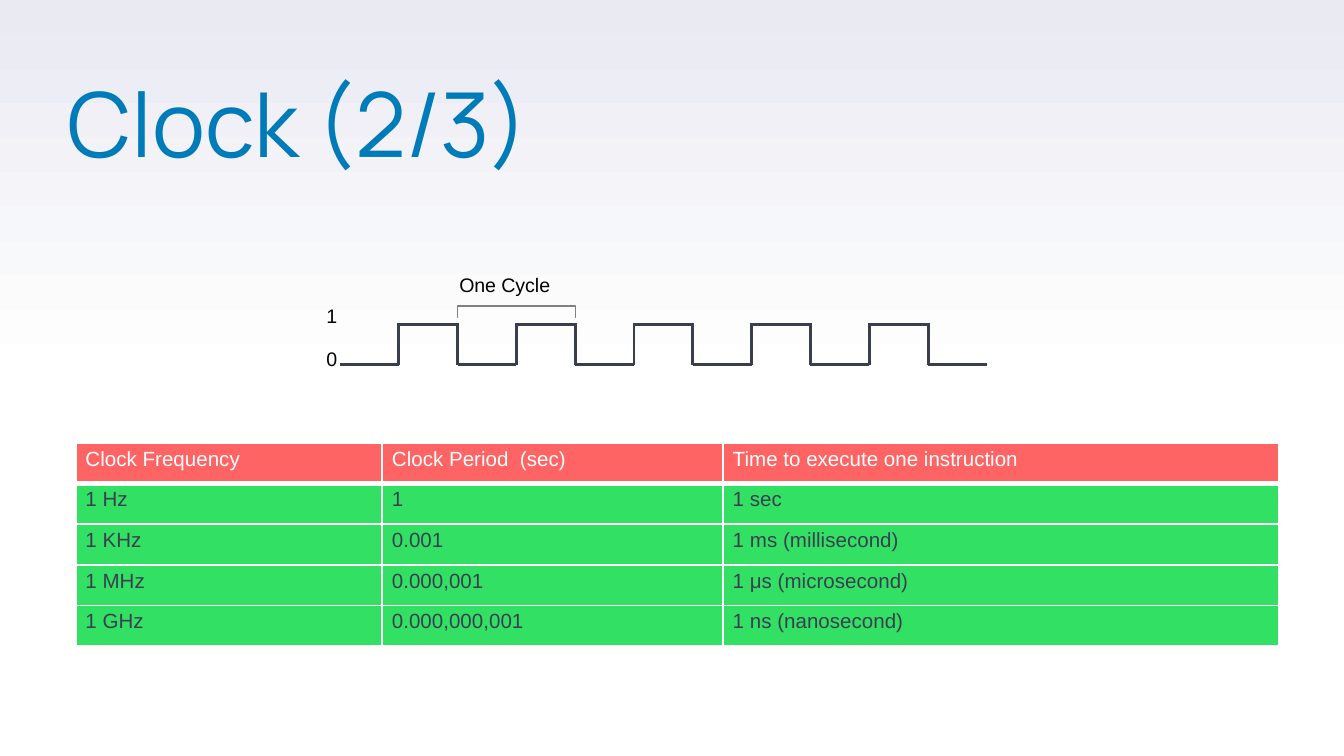
from dataclasses import dataclass

from lxml import etree
from pptx import Presentation
from pptx import util as u
from pptx.dml.color import RGBColor
from pptx.enum import shapes, text
from pptx.oxml import ns


@dataclass(frozen=True)
class Theme:
    title: str = "007BB9"
    ink: str = "3A3F50"
    label: str = "000000"
    bracket: str = "808080"
    white: str = "FFFFFF"
    haze: str = "E9EAF2"
    header: str = "FF6464"
    body: str = "32E164"
    title_font: str = "Manrope"
    text_font: str = "Arial"
    title_size: float = 48
    table_size: float = 11
    label_size: float = 10.5


class SlideBuilder:
    """Draws styled elements on one slide, with lengths in points."""

    def __init__(self, slide, theme):
        self.slide = slide
        self.theme = theme

    def background(self):
        fill = self.slide.background.fill
        fill.gradient()
        fill.gradient_angle = 90
        stops = zip(fill.gradient_stops, (0.5, 1), (self.theme.white, self.theme.haze))
        for stop, position, color in stops:
            stop.position = position
            stop.color.rgb = RGBColor.from_string(color)

    def run(self, paragraph, content, size, color, font):
        run = paragraph.add_run()
        run.text = content
        run.font.size = u.Pt(size)
        run.font.name = font
        run.font.color.rgb = RGBColor.from_string(color)

    def title(self, content, left, top, width, height):
        frame = self.slide.shapes.add_textbox(*map(u.Pt, (left, top, width, height))).text_frame
        frame.word_wrap = True
        frame.margin_left = frame.margin_right = frame.margin_top = frame.margin_bottom = 0
        paragraph = frame.paragraphs[0]
        paragraph.line_spacing = 0.8
        self.run(paragraph, content, self.theme.title_size, self.theme.title, self.theme.title_font)

    def label(self, content, left, top, width, height=20):
        frame = self.slide.shapes.add_textbox(*map(u.Pt, (left, top, width, height))).text_frame
        frame.word_wrap = False
        frame.auto_size = text.MSO_AUTO_SIZE.SHAPE_TO_FIT_TEXT
        self.run(frame.paragraphs[0], content, self.theme.label_size, self.theme.label, self.theme.text_font)

    def connector(self, kind, start, end, color, weight):
        connector = self.slide.shapes.add_connector(kind, *map(u.Pt, (*start, *end)))
        connector.line.color.rgb = RGBColor.from_string(color)
        connector.line.width = u.Pt(weight)
        etree.SubElement(connector._element.spPr, ns.qn("a:effectLst"))
        return connector

    def line(self, start, end):
        self.connector(shapes.MSO_CONNECTOR.STRAIGHT, start, end, self.theme.ink, 1.5)

    def elbow(self, start, end, bend):
        connector = self.connector(shapes.MSO_CONNECTOR.ELBOW, start, end, self.theme.bracket, 0.75)
        geometry = connector._element.spPr.find(ns.qn("a:prstGeom"))
        adjustments = geometry.find(ns.qn("a:avLst"))
        if adjustments is None:
            adjustments = etree.SubElement(geometry, ns.qn("a:avLst"))
        etree.SubElement(adjustments, ns.qn("a:gd"), name="adj1", fmla=f"val {bend}")

    def wave(self, left, high, low, step, cycles):
        overshoot = 0.5
        for index in range(2 * cycles + 1):
            x = left + index * step
            level = high if index % 2 else low
            self.line((x, level), (x + step, level))
            if index:
                self.line((x, high - overshoot), (x, low + overshoot))

    def borders(self, cell, bottom):
        properties = cell._tc.get_or_add_tcPr()
        for index, (side, weight) in enumerate(zip("LRTB", (1, 1, 1, bottom))):
            border = etree.Element(ns.qn(f"a:ln{side}"), w=str(u.Pt(weight)))
            fill = etree.SubElement(border, ns.qn("a:solidFill"))
            etree.SubElement(fill, ns.qn("a:srgbClr"), val=self.theme.white)
            properties.insert(index, border)

    def table(self, rows, left, top, widths, row_height):
        size = (sum(widths), row_height * len(rows))
        frame = self.slide.shapes.add_table(len(rows), len(widths), *map(u.Pt, (left, top, *size)))
        table = frame.table
        table.first_row = table.horz_banding = False
        for column, width in zip(table.columns, widths):
            column.width = u.Pt(width)
        for row_index, row in enumerate(rows):
            table.rows[row_index].height = u.Pt(row_height)
            fill, color, bottom = (
                (self.theme.body, self.theme.ink, 1) if row_index
                else (self.theme.header, self.theme.white, 3)
            )
            for column_index, content in enumerate(row):
                cell = table.cell(row_index, column_index)
                cell.margin_left = cell.margin_right = u.Pt(5.2)
                cell.margin_top = cell.margin_bottom = u.Pt(2.6)
                cell.fill.solid()
                cell.fill.fore_color.rgb = RGBColor.from_string(fill)
                self.borders(cell, bottom)
                self.run(cell.text_frame.paragraphs[0], content,
                         self.theme.table_size, color, self.theme.text_font)


def main():
    presentation = Presentation()
    presentation.slide_width = u.Pt(720)
    presentation.slide_height = u.Pt(405)
    slide = presentation.slides.add_slide(presentation.slide_layouts[6])
    builder = SlideBuilder(slide, Theme())
    builder.background()
    builder.title("Clock (2/3)", 36, 47.5, 645, 85)
    builder.table(
        [
            ("Clock Frequency", "Clock Period  (sec)", "Time to execute one instruction"),
            ("1 Hz", "1", "1 sec"),
            ("1 KHz", "0.001", "1 ms (millisecond)"),
            ("1 MHz", "0.000,001", "1 μs (microsecond)"),
            ("1 GHz", "0.000,000,001", "1 ns (nanosecond)"),
        ],
        40.6, 237.2, (164.2, 182.6, 298), 21.8,
    )

    wave_left, step = 182.2, 31.5
    builder.wave(wave_left, 173.8, 195.2, step, 5)
    builder.label("1", 167.8, 159.2, 20)
    builder.label("0", 167.8, 182.2, 20)

    cycle_left = wave_left + 2 * step
    cycle_right = cycle_left + 2 * step
    middle = (cycle_left + 26.5, 164)
    builder.elbow((cycle_left, 170), middle, 200)
    builder.elbow(middle, (cycle_right, 170), 100500)
    builder.label("One Cycle", 239, 142.6, 64)
    presentation.save("out.pptx")


if __name__ == "__main__":
    main()
